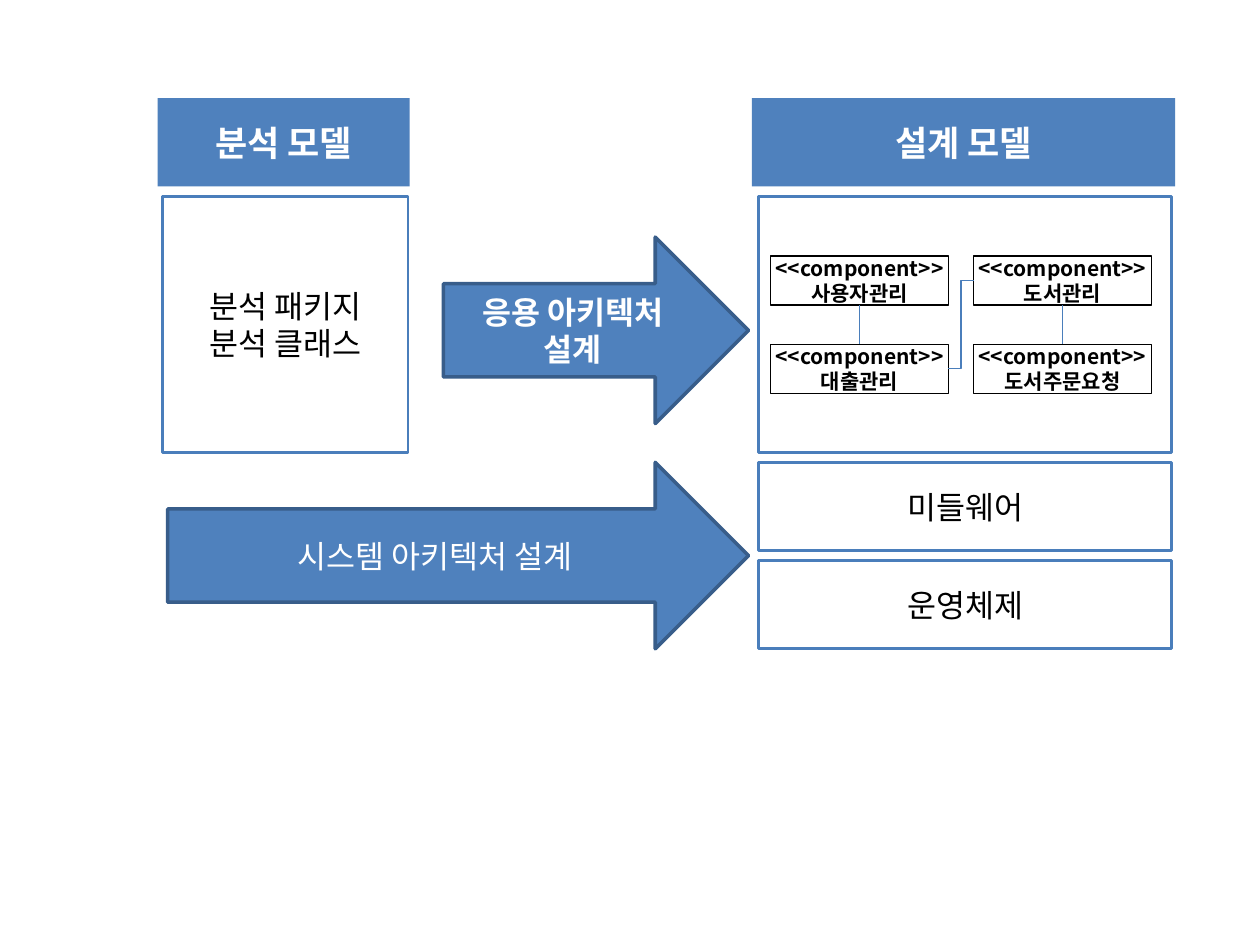
import pptx
import pptx.util
import pptx.dml.color
import pptx.enum.shapes
import pptx.enum.text
import pptx.oxml.ns
from lxml import etree

Cm, Pt = pptx.util.Cm, pptx.util.Pt
RGB = pptx.dml.color.RGBColor
SHAPE = pptx.enum.shapes.MSO_SHAPE
qn = pptx.oxml.ns.qn

BLUE = RGB(0x4F, 0x81, 0xBD)
EDGE_BLUE = RGB(0x4A, 0x7E, 0xBB)
DARK_BLUE = RGB(0x38, 0x5D, 0x8A)
BLACK = RGB(0, 0, 0)
WHITE = RGB(0xFF, 0xFF, 0xFF)
FONT = "Noto Sans CJK KR"

GAP = 0.2
TOP = 1.98
ROW_H = 1.78
PANEL_H = 5.16
PANEL_TOP = TOP + ROW_H + GAP
MIDDLEWARE_TOP = PANEL_TOP + PANEL_H + GAP
OS_TOP = MIDDLEWARE_TOP + ROW_H + GAP
ARROW_H = 2 * ROW_H + GAP


def add_block(shapes, kind, box, text="", size=18, color=BLACK, bold=False,
              fill=None, line=None, width=1.5, side_inset=0.25):
    """Add a shape with centred text; box is left, top, width, height in cm."""
    sp = shapes.add_shape(kind, *(Cm(v) for v in box))
    sp.shadow.inherit = False
    if fill is None:
        sp.fill.background()
    else:
        sp.fill.solid()
        sp.fill.fore_color.rgb = fill
    if line is None:
        sp.line.fill.background()
    else:
        sp.line.color.rgb = line
        sp.line.width = Pt(width)
    if not text:
        return sp
    tf = sp.text_frame
    tf.text = text
    tf.word_wrap = True
    tf.vertical_anchor = pptx.enum.text.MSO_ANCHOR.MIDDLE
    tf.margin_left = tf.margin_right = Cm(side_inset)
    tf.margin_top = tf.margin_bottom = Cm(0.13)
    for p in tf.paragraphs:
        p.alignment = pptx.enum.text.PP_ALIGN.CENTER
        for r in p.runs:
            r.font.size = Pt(size)
            r.font.bold = bold
            r.font.color.rgb = color
            r.font.name = FONT
            etree.SubElement(r.font._element, qn("a:ea"), typeface=FONT)
    return sp


def add_header(shapes, left, width, text):
    add_block(shapes, SHAPE.RECTANGLE, (left, TOP, width, ROW_H), text,
              size=20, color=WHITE, bold=True, fill=BLUE)


def add_panel(shapes, box, text=""):
    add_block(shapes, SHAPE.RECTANGLE, box, text, line=EDGE_BLUE)


def add_arrow(shapes, box, text, bold=False):
    add_block(shapes, SHAPE.RIGHT_ARROW, box, text, color=WHITE, bold=bold,
              fill=BLUE, line=DARK_BLUE, width=2)


def connect(shapes, start, start_site, end, end_site):
    """Join two shapes; sites run 0 top, 1 left, 2 bottom, 3 right."""
    c = shapes.add_connector(pptx.enum.shapes.MSO_CONNECTOR.ELBOW, 0, 0, 0, 0)
    c.begin_connect(start, start_site)
    c.end_connect(end, end_site)
    c.line.color.rgb = EDGE_BLUE
    c.line.width = Pt(0.75)
    etree.SubElement(c._element.spPr, qn("a:effectLst"))


def add_component_diagram(slide, left, top):
    shapes = slide.shapes.add_group_shape().shapes
    names = [["사용자관리", "도서관리"], ["대출관리", "도서주문요청"]]
    (user, book), (loan, order) = [
        [add_block(shapes, SHAPE.RECTANGLE,
                   (left + col * 4.09, top + row * 1.78, 3.58, 0.99),
                   "<<component>>\n" + name, size=12, bold=True,
                   line=BLACK, width=0.75, side_inset=0)
         for col, name in enumerate(line)]
        for row, line in enumerate(names)]
    connect(shapes, user, 2, loan, 0)
    connect(shapes, book, 2, order, 0)
    connect(shapes, loan, 3, book, 1)


def add_analysis_model(slide, left, width):
    add_panel(slide.shapes, (left + 0.1, PANEL_TOP, width - 0.13, PANEL_H),
              "분석 패키지\n분석 클래스")
    add_header(slide.shapes, left, width, "분석 모델")


def add_design_model(slide, left, width):
    x, w = left + 0.13, width - 0.2
    add_panel(slide.shapes, (x, PANEL_TOP, w, PANEL_H))
    add_panel(slide.shapes, (x, MIDDLEWARE_TOP, w, ROW_H), "미들웨어")
    add_panel(slide.shapes, (x, OS_TOP, w, ROW_H), "운영체제")
    add_header(slide.shapes, left, width, "설계 모델")
    add_component_diagram(slide, x + 0.25, PANEL_TOP + 1.2)


def add_design_steps(slide, left, right):
    add_arrow(slide.shapes, (left, MIDDLEWARE_TOP, right - left, ARROW_H),
              "시스템 아키텍처 설계")
    add_arrow(slide.shapes, (right - 6.15, 4.78, 6.15, ARROW_H),
              "응용 아키텍처\n설계", bold=True)


def main():
    prs = pptx.Presentation()
    prs.slide_width, prs.slide_height = Cm(25.4), Cm(19.05)
    slide = prs.slides.add_slide(prs.slide_layouts[6])
    add_analysis_model(slide, 3.18, 5.08)
    add_design_model(slide, 15.16, 8.53)
    add_design_steps(slide, 3.38, 15.09)
    prs.save("out.pptx")


if __name__ == "__main__":
    main()
